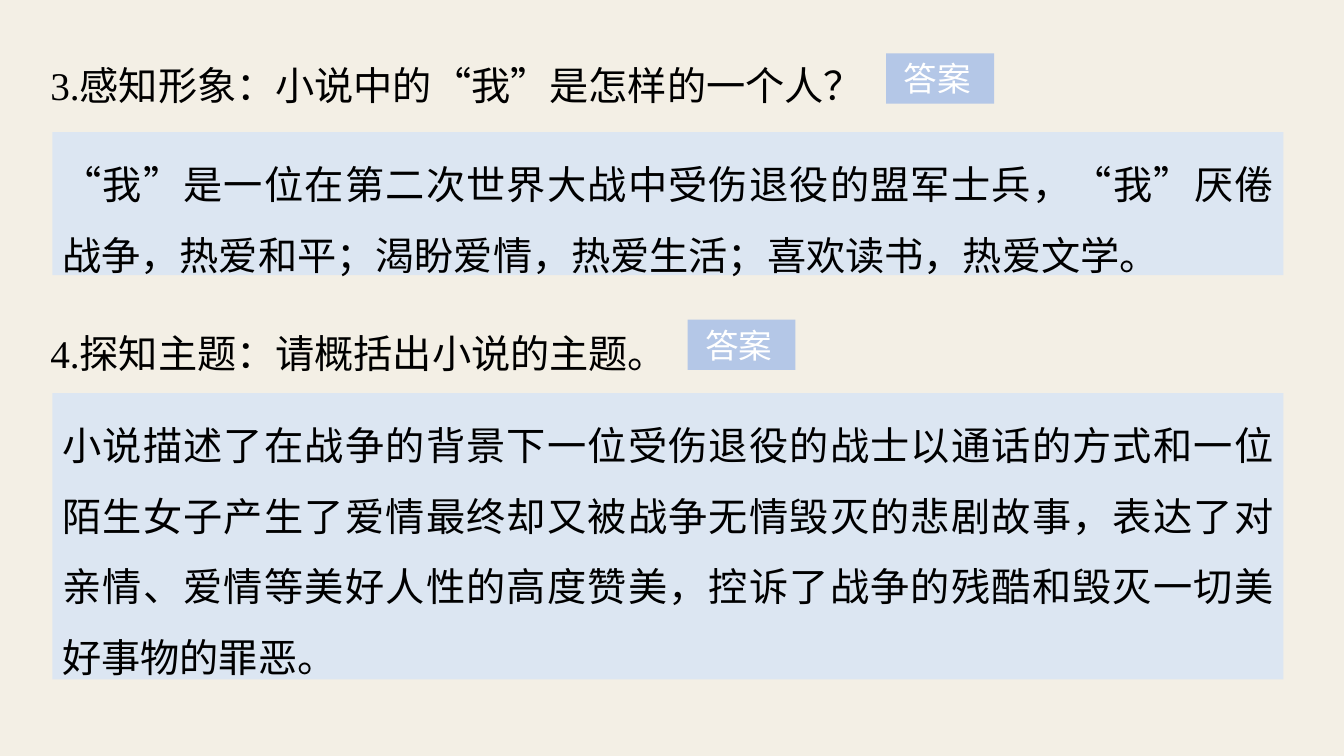
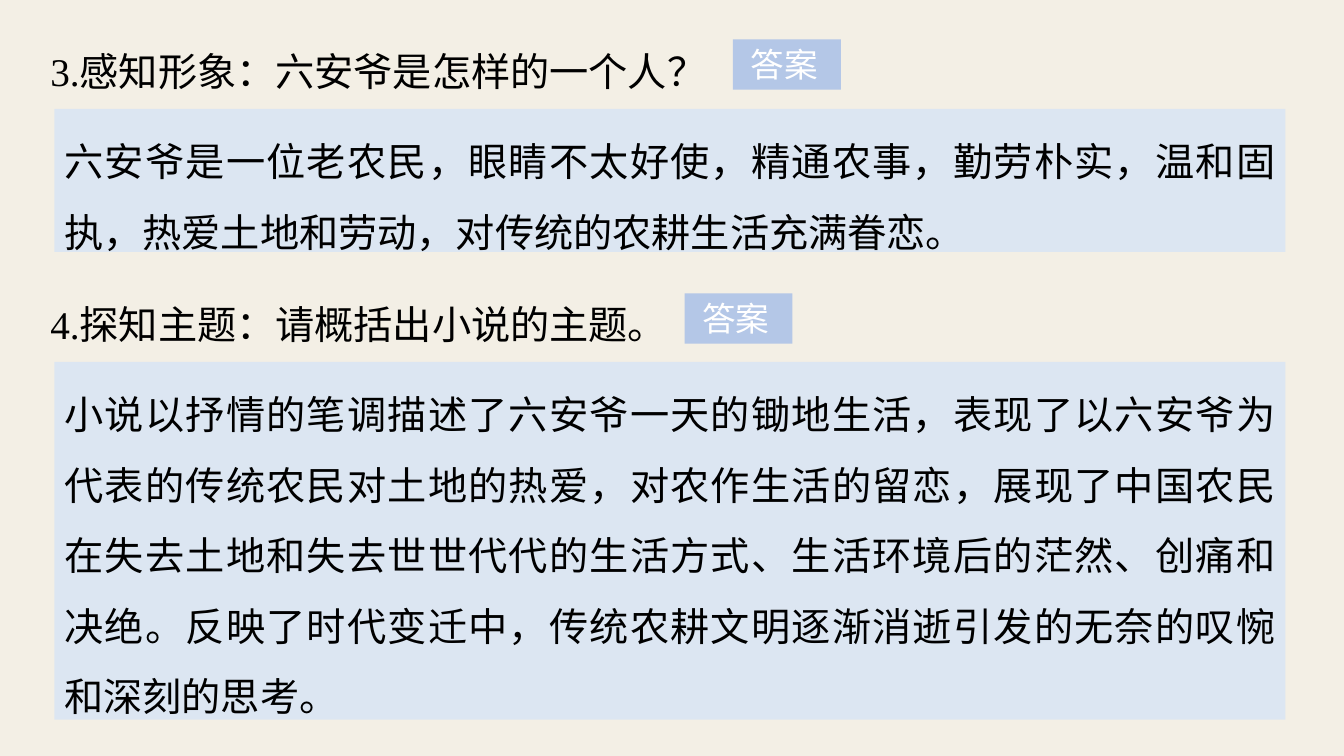
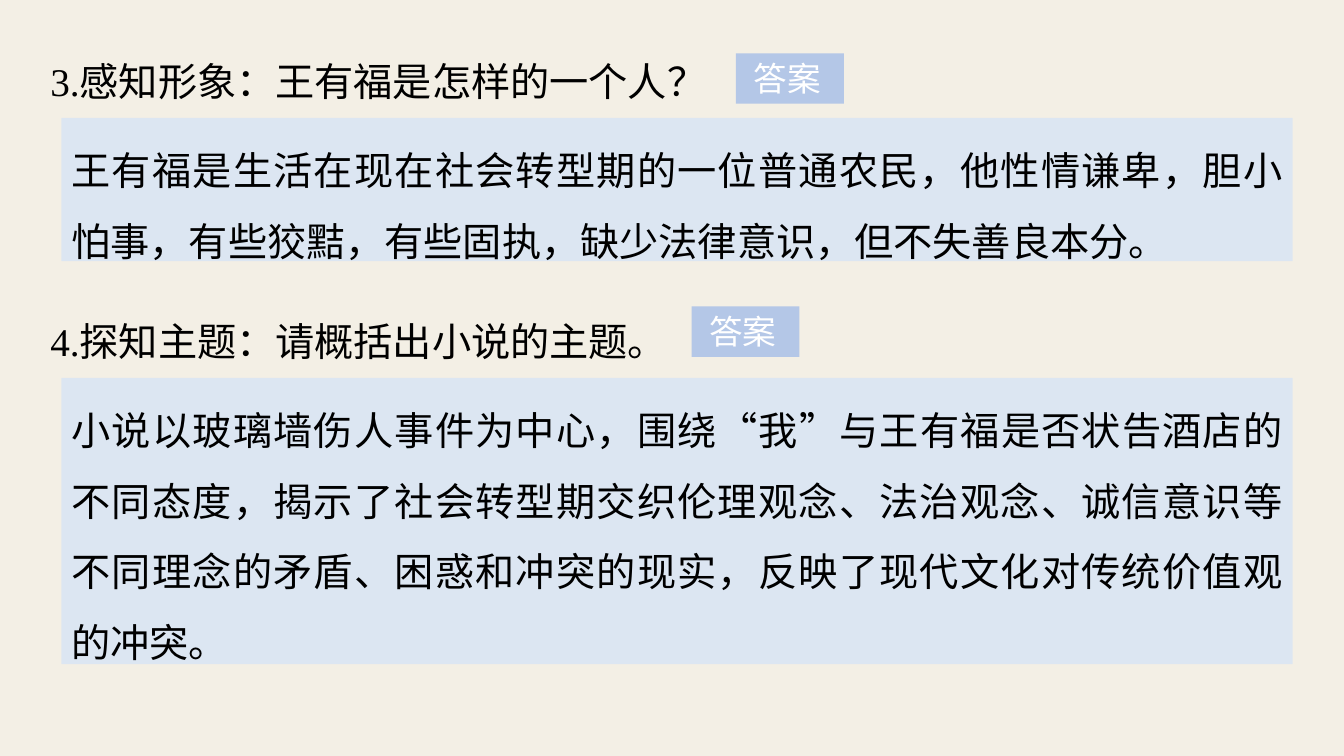
from itertools import groupby

from lxml import etree
from pptx import Presentation
from pptx import util as u
from pptx.dml import color
from pptx.enum import shapes, text
from pptx.oxml import ns

LATIN = "Times New Roman"
CHINESE = "Noto Sans CJK SC"
LABEL_FONT = "Arial"
PAPER, LABEL_FILL, ANSWER_FILL = "F3EFE5", "B4C7E7", "DCE6F2"
BLACK, WHITE = "000000", "FFFFFF"
LINE_HEIGHT = 0.71
THEME_QUESTION = "4.探知主题：请概括出小说的主题。"


def rgb(value):
    return color.RGBColor.from_string(value)


def is_quote(character):
    return character in "“”"


def write(shape, content, size=28, font=LATIN, ink=BLACK, spacing=1.5,
          align=text.PP_ALIGN.JUSTIFY, margins=(0.1, 0.05)):
    frame = shape.text_frame
    frame.word_wrap = True
    frame.auto_size = text.MSO_AUTO_SIZE.SHAPE_TO_FIT_TEXT
    frame.vertical_anchor = text.MSO_ANCHOR.TOP
    frame.margin_left = frame.margin_right = u.Inches(margins[0])
    frame.margin_top = frame.margin_bottom = u.Inches(margins[1])
    paragraph = frame.paragraphs[0]
    paragraph.alignment = align
    paragraph.line_spacing = spacing
    for quoted, characters in groupby(content, is_quote):
        run = paragraph.add_run()
        run.text = "".join(characters)
        run.font.size = u.Pt(size)
        run.font.color.rgb = rgb(ink)
        run.font.name = CHINESE if quoted else font
        properties = run.font._element
        etree.SubElement(properties, ns.qn("a:ea"), typeface=CHINESE)


class Deck:
    def __init__(self):
        self.presentation = Presentation()
        self.presentation.slide_width = u.Inches(13.33)
        self.presentation.slide_height = u.Inches(7.5)
        self.slide = None

    def add_slide(self):
        blank = self.presentation.slide_layouts[6]
        self.slide = self.presentation.slides.add_slide(blank)
        self.slide.background.fill.solid()
        self.slide.background.fill.fore_color.rgb = rgb(PAPER)

    def panel(self, left, top, width, height, fill):
        shape = self.slide.shapes.add_shape(
            shapes.MSO_SHAPE.RECTANGLE,
            u.Inches(left), u.Inches(top), u.Inches(width), u.Inches(height))
        shape.shadow.inherit = False
        shape.fill.solid()
        shape.fill.fore_color.rgb = rgb(fill)
        shape.line.fill.background()
        return shape

    def question(self, top, content):
        box = self.slide.shapes.add_textbox(
            u.Inches(0.37), u.Inches(top), u.Inches(12.52), u.Inches(0.76))
        write(box, content, margins=(0.13, 0.07))

    def label(self, left, top):
        shape = self.panel(left, top, 1.07, 0.5, LABEL_FILL)
        write(shape, " 答案", size=24, font=LABEL_FONT, ink=WHITE,
              spacing=1, align=text.PP_ALIGN.LEFT)

    def answer(self, left, top, lines, content):
        shape = self.panel(left, top, 12.21, lines * LINE_HEIGHT, ANSWER_FILL)
        write(shape, content)


SLIDES = [
    (0.52, [
        (0.31, "3.感知形象：小说中的“我”是怎样的一个人？", (8.79, 0.53), 1.31, 2,
         "“我”是一位在第二次世界大战中受伤退役的盟军士兵，“我”厌倦战争，"
         "热爱和平；渴盼爱情，热爱生活；喜欢读书，热爱文学。"),
        (2.96, THEME_QUESTION, (6.82, 3.17), 3.9, 4,
         "小说描述了在战争的背景下一位受伤退役的战士以通话的方式和一位陌生女子"
         "产生了爱情最终却又被战争无情毁灭的悲剧故事，表达了对亲情、爱情等美好"
         "人性的高度赞美，控诉了战争的残酷和毁灭一切美好事物的罪恶。"),
    ]),
    (0.54, [
        (0.17, "3.感知形象：六安爷是怎样的一个人？", (7.27, 0.39), 1.08, 2,
         "六安爷是一位老农民，眼睛不太好使，精通农事，勤劳朴实，温和固执，"
         "热爱土地和劳动，对传统的农耕生活充满眷恋。"),
        (2.68, THEME_QUESTION, (6.79, 2.91), 3.59, 5,
         "小说以抒情的笔调描述了六安爷一天的锄地生活，表现了以六安爷为代表的"
         "传统农民对土地的热爱，对农作生活的留恋，展现了中国农民在失去土地和"
         "失去世世代代的生活方式、生活环境后的茫然、创痛和决绝。反映了时代变迁中，"
         "传统农耕文明逐渐消逝引发的无奈的叹惋和深刻的思考。"),
    ]),
    (0.61, [
        (0.27, "3.感知形象：王有福是怎样的一个人？", (7.3, 0.53), 1.17, 2,
         "王有福是生活在现在社会转型期的一位普通农民，他性情谦卑，胆小怕事，"
         "有些狡黠，有些固执，缺少法律意识，但不失善良本分。"),
        (2.84, THEME_QUESTION, (6.86, 3.04), 3.75, 4,
         "小说以玻璃墙伤人事件为中心，围绕“我”与王有福是否状告酒店的不同态度，"
         "揭示了社会转型期交织伦理观念、法治观念、诚信意识等不同理念的矛盾、"
         "困惑和冲突的现实，反映了现代文化对传统价值观的冲突。"),
    ]),
]


def main():
    deck = Deck()
    for answer_left, exercises in SLIDES:
        deck.add_slide()
        for top, question, label_place, answer_top, lines, answer in exercises:
            deck.question(top, question)
            deck.label(*label_place)
            deck.answer(answer_left, answer_top, lines, answer)
    deck.presentation.save("out.pptx")


if __name__ == "__main__":
    main()
